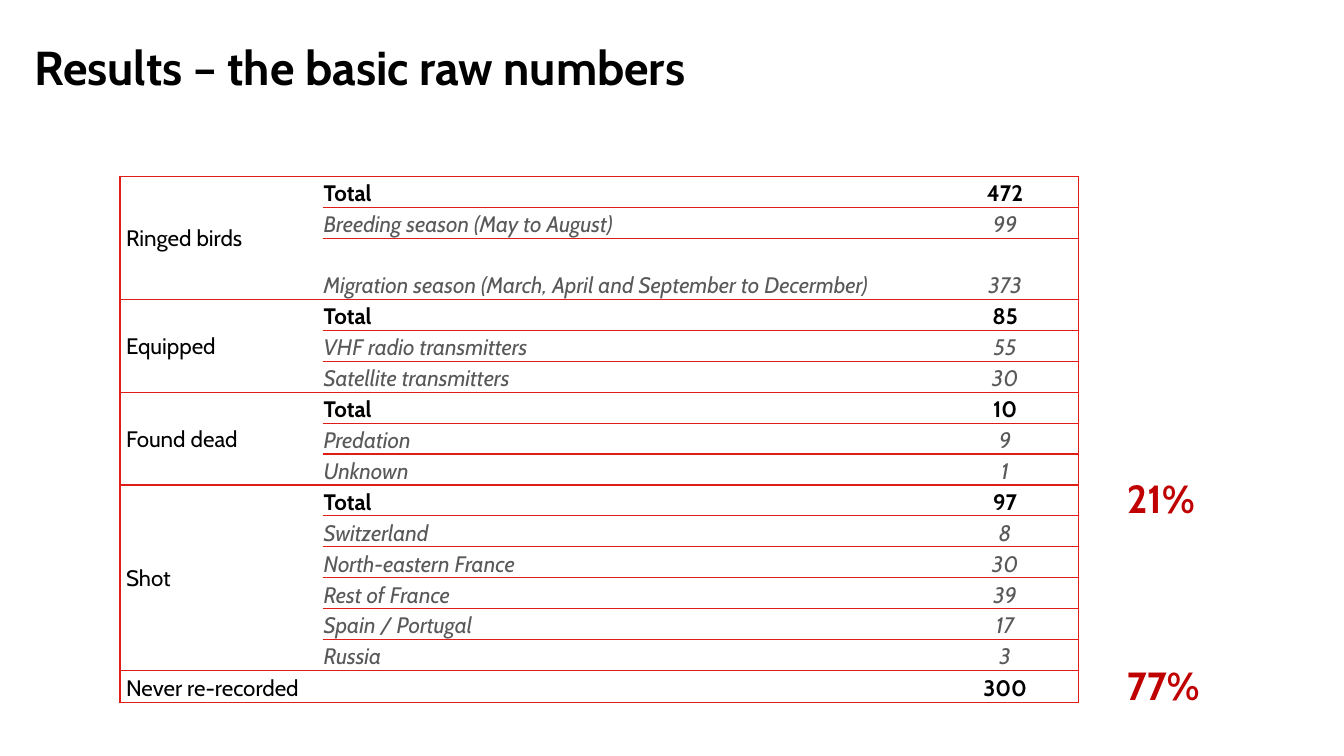
import pptx
import pptx.dml.color
import pptx.enum.text
import pptx.oxml
import pptx.oxml.ns
import pptx.util

ALIGN = pptx.enum.text.PP_ALIGN
ANCHOR = pptx.enum.text.MSO_ANCHOR
BLACK, GREY, WHITE = "000000", "595959", "FFFFFF"
RED, DARK_RED = "DF1C15", "C00000"

GROUPS = [
    ("Ringed birds", [
        ("Total", "472"),
        ("Breeding season (May to August)", "99"),
        ("Migration season (March, April and September to Decermber)", "373"),
    ]),
    ("Equipped", [
        ("Total", "85"),
        ("VHF radio transmitters", "55"),
        ("Satellite transmitters", "30"),
    ]),
    ("Found dead", [
        ("Total", "10"),
        ("Predation", "9"),
        ("Unknown", "1"),
    ]),
    ("Shot", [
        ("Total", "97"),
        ("Switzerland", "8"),
        ("North-eastern France", "30"),
        ("Rest of France", "39"),
        ("Spain / Portugal", "17"),
        ("Russia", "3"),
    ]),
    ("Never re-recorded", [("", "300")]),
]
WIDTHS = [15.08, 45.3, 10.95]
ROW, TALL_ROW = 4.09, 8.11
TALL = 2


def paint(code):
    return pptx.dml.color.RGBColor.from_string(code)


class Deck:
    """Style and current slide; lengths are percent of the slide's size."""
    font = "Cabin"

    def __init__(self):
        self.file = pptx.Presentation()
        self.file.slide_width = pptx.util.Inches(13.33)
        self.file.slide_height = pptx.util.Inches(7.5)
        self.slide = self.file.slides.add_slide(self.file.slide_layouts[5])

    def across(self, share):
        return round(self.file.slide_width * share / 100)

    def down(self, share):
        return round(self.file.slide_height * share / 100)

    def place(self, left, top, width, height):
        return (self.across(left), self.down(top),
                self.across(width), self.down(height))

    def words(self, para, text, size, color=BLACK, bold=False, slant=False):
        run = para.add_run()
        run.text = text
        font = run.font
        font.name, font.size = self.font, pptx.util.Pt(size)
        font.bold, font.italic = bold, slant
        font.color.rgb = paint(color)

    def title(self, text, box):
        shape = self.slide.shapes.title
        shape.left, shape.top, shape.width, shape.height = self.place(*box)
        frame = shape.text_frame
        frame.auto_size = pptx.enum.text.MSO_AUTO_SIZE.NONE
        frame.vertical_anchor = ANCHOR.TOP
        para = frame.paragraphs[0]
        para.alignment, para.line_spacing = ALIGN.LEFT, 0.9
        self.words(para, text, 34, bold=True)

    def label(self, text, box):
        frame = self.slide.shapes.add_textbox(*self.place(*box)).text_frame
        frame.word_wrap = False
        self.words(frame.paragraphs[0], text, 28, DARK_RED, bold=True)

    def edge(self, cell, sides):
        """Rule the named sides (letters of LRTB) and clear the others."""
        props = cell._tc.get_or_add_tcPr()
        for side in "LRTB":
            fill = (f'<a:solidFill><a:srgbClr val="{RED}"/></a:solidFill>'
                    if side in sides else "<a:noFill/>")
            props.append(pptx.oxml.parse_xml(
                f'<a:ln{side} {pptx.oxml.ns.nsdecls("a")} w="12700">'
                f"{fill}</a:ln{side}>"))

    def cell(self, cell, text, sides, inset=0.01, align=ALIGN.LEFT,
             anchor=ANCHOR.BOTTOM, **style):
        self.edge(cell, sides)
        cell.fill.solid()
        cell.fill.fore_color.rgb = paint(WHITE)
        cell.margin_left = pptx.util.Inches(inset)
        cell.margin_right = cell.margin_top = pptx.util.Inches(0.01)
        cell.margin_bottom = 0
        cell.vertical_anchor = anchor
        para = cell.text_frame.paragraphs[0]
        para.alignment = align
        if text:
            self.words(para, text, 16, **style)

    def table(self, groups, left, top):
        count = sum(len(lines) for _, lines in groups)
        highs = [TALL_ROW if row == TALL else ROW for row in range(count)]
        box = self.place(left, top, sum(WIDTHS), sum(highs))
        grid = self.slide.shapes.add_table(count, len(WIDTHS), *box).table
        grid.first_row = grid.horz_banding = False
        for col, width in zip(grid.columns, WIDTHS):
            col.width = self.across(width)
        for row, height in zip(grid.rows, highs):
            row.height = self.down(height)
        start = 0
        for name, lines in groups:
            self.group(grid, start, name, lines)
            start += len(lines)

    def group(self, grid, start, name, lines):
        last = len(lines) - 1
        for step, (text, value) in enumerate(lines):
            row = start + step
            sides = "L" + "T" * (step == 0) + "B" * (step == last)
            self.cell(grid.cell(row, 0), "" if step else name, sides,
                      inset=0.06,
                      anchor=ANCHOR.MIDDLE if last else ANCHOR.BOTTOM)
            style = ({"color": GREY, "slant": True} if step
                     else {"bold": True})
            self.cell(grid.cell(row, 1), text, "TB", **style)
            self.cell(grid.cell(row, 2), value, "RTB", align=ALIGN.CENTER,
                      **style)
        if last:
            grid.cell(start, 0).merge(grid.cell(start + last, 0))


def main():
    deck = Deck()
    deck.title("Results – the basic raw numbers", (1.8, 5.2, 79.9, 19.33))
    deck.table(GROUPS, 8.93, 23.33)
    for text, top in (("77%", 86.8), ("21%", 62.13)):
        deck.label(text, (83.1, top, 6.98, 7.6))
    deck.file.save("out.pptx")


if __name__ == "__main__":
    main()
